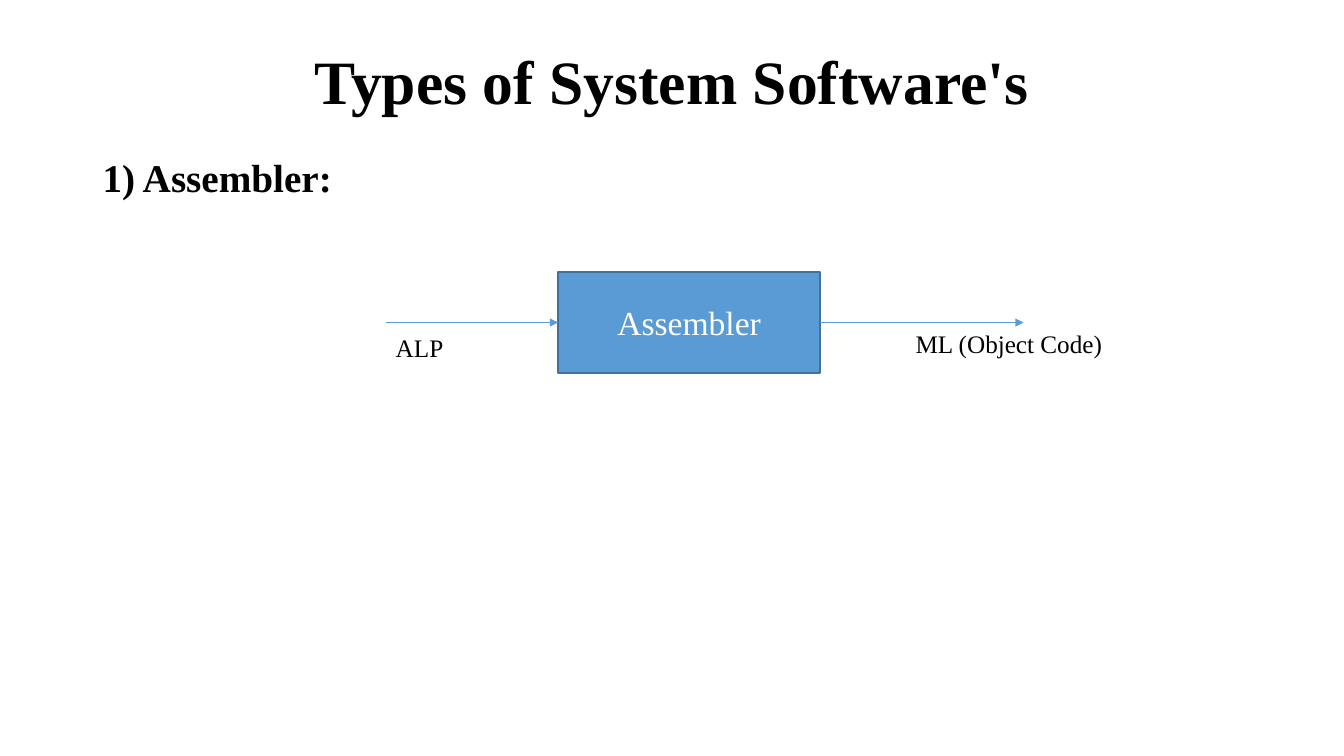
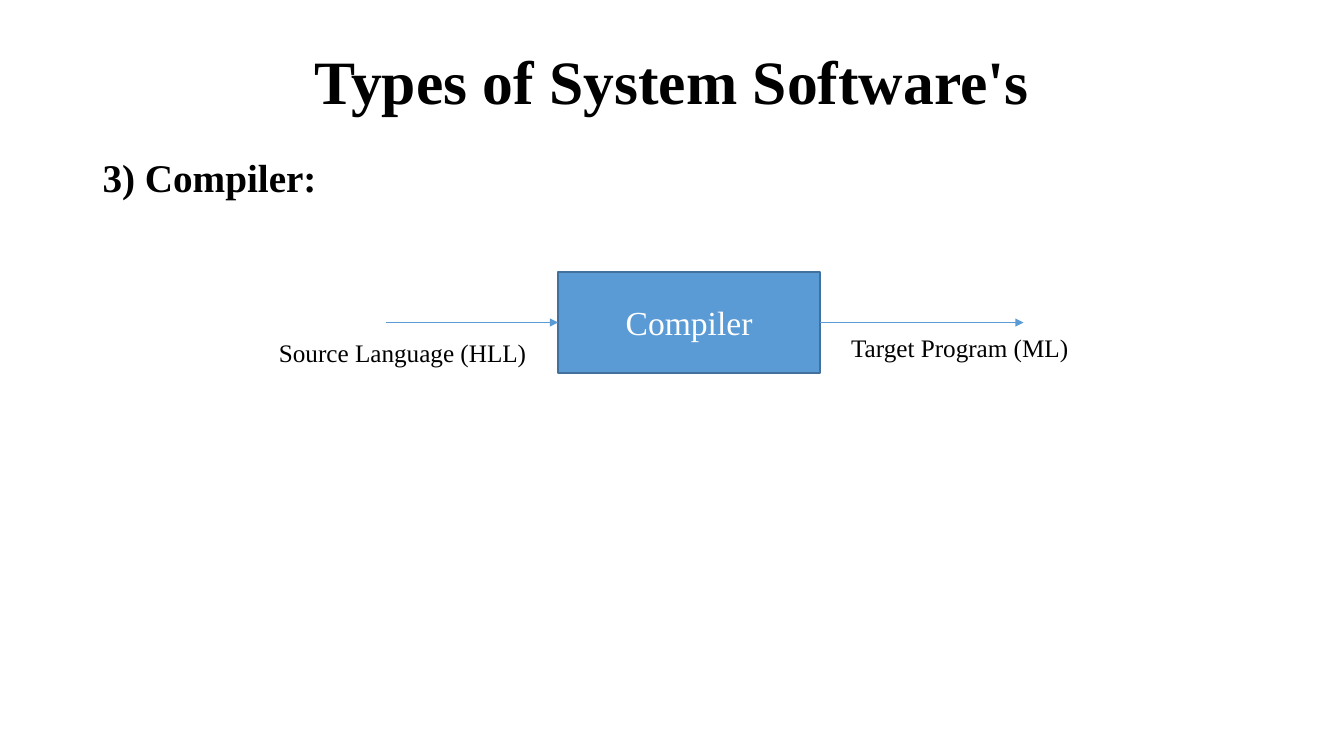
from dataclasses import dataclass

from lxml.etree import SubElement
from pptx import Presentation
from pptx.dml.color import RGBColor
from pptx.enum.shapes import MSO_CONNECTOR, MSO_SHAPE
from pptx.enum.text import MSO_ANCHOR, MSO_AUTO_SIZE, PP_ALIGN
from pptx.oxml.ns import qn
from pptx.shapes.autoshape import Shape
from pptx.shapes.connector import Connector
from pptx.slide import Slide
from pptx.util import Emu, Pt

EMU_PER_PX = 9144  # 100 px to the inch
FONT_NAME = "Times New Roman"
BLACK = "000000"
WHITE = "FFFFFF"
BLUE = "5B9BD5"
DARK_BLUE = "41719C"

TITLE = "Types of System Software's"
ARROW_Y = 320
INPUT_START_X = 383
OUTPUT_END_X = 1016
LEFT_SIDE, RIGHT_SIDE = 1, 3


@dataclass(frozen=True)
class Box:
    left: int
    top: int
    width: int
    height: int


@dataclass(frozen=True)
class Label:
    text: str
    box: Box


@dataclass(frozen=True)
class Translator:
    heading: str
    name: str
    source: Label
    target: Label


TITLE_BOX = Box(92, 40, 1150, 88)
HEADING_BOX = Box(92, 152, 1150, 511)
PROCESS_BOX = Box(554, 270, 260, 100)

TRANSLATORS = [
    Translator(
        "1) Assembler:",
        "Assembler",
        Label("ALP", Box(383, 325, 80, 40)),
        Label("ML (Object Code)", Box(899, 321, 237, 40)),
    ),
    Translator(
        "3) Compiler:",
        "Compiler",
        Label("Source Language (HLL)", Box(267, 330, 267, 40)),
        Label("Target Program (ML)", Box(835, 325, 267, 40)),
    ),
]


def px(length: int) -> Emu:
    return Emu(length * EMU_PER_PX)


def color(hex_value: str) -> RGBColor:
    return RGBColor.from_string(hex_value)


def bounds(box: Box) -> tuple[Emu, Emu, Emu, Emu]:
    return px(box.left), px(box.top), px(box.width), px(box.height)


def write_text(
    shape: Shape,
    text: str,
    size: int,
    hex_color: str = BLACK,
    bold: bool = False,
    alignment: PP_ALIGN = PP_ALIGN.LEFT,
    anchor: MSO_ANCHOR = MSO_ANCHOR.TOP,
    line_spacing: float = 1.0,
) -> None:
    frame = shape.text_frame
    frame.text = text
    frame.word_wrap = True
    frame.auto_size = MSO_AUTO_SIZE.NONE
    frame.vertical_anchor = anchor
    paragraph = frame.paragraphs[0]
    paragraph.alignment = alignment
    paragraph.line_spacing = line_spacing
    paragraph.font.name = FONT_NAME
    paragraph.font.size = Pt(size)
    paragraph.font.bold = bold
    paragraph.font.color.rgb = color(hex_color)


def set_title(slide: Slide) -> None:
    title = slide.shapes.title
    title.left, title.top, title.width, title.height = bounds(TITLE_BOX)
    write_text(title, TITLE, 44, bold=True, alignment=PP_ALIGN.CENTER,
               anchor=MSO_ANCHOR.MIDDLE, line_spacing=0.9)


def add_heading(slide: Slide, text: str) -> None:
    heading = slide.shapes.add_textbox(*bounds(HEADING_BOX))
    write_text(heading, text, 28, bold=True, line_spacing=0.9)
    heading.text_frame.paragraphs[0].space_before = Pt(10)


def add_process(slide: Slide, name: str) -> Shape:
    process = slide.shapes.add_shape(MSO_SHAPE.RECTANGLE, *bounds(PROCESS_BOX))
    process.shadow.inherit = False
    process.fill.solid()
    process.fill.fore_color.rgb = color(BLUE)
    process.line.color.rgb = color(DARK_BLUE)
    process.line.width = Pt(1)
    write_text(process, name, 24, WHITE, alignment=PP_ALIGN.CENTER,
               anchor=MSO_ANCHOR.MIDDLE)
    return process


def add_arrow(slide: Slide, start_x: int, end_x: int) -> Connector:
    arrow = slide.shapes.add_connector(
        MSO_CONNECTOR.STRAIGHT, px(start_x), px(ARROW_Y), px(end_x), px(ARROW_Y)
    )
    arrow.line.color.rgb = color(BLUE)
    arrow.line.width = Pt(0.5)
    line = arrow.line._get_or_add_ln()
    SubElement(line, qn("a:tailEnd"), type="triangle")
    SubElement(arrow._element.spPr, qn("a:effectLst"))
    return arrow


def add_label(slide: Slide, label: Label) -> None:
    text_box = slide.shapes.add_textbox(*bounds(label.box))
    write_text(text_box, label.text, 18)


def add_translator_slide(presentation: Presentation, translator: Translator) -> None:
    slide = presentation.slides.add_slide(
        presentation.slide_layouts.get_by_name("Title Only")
    )
    set_title(slide)
    add_heading(slide, translator.heading)
    process = add_process(slide, translator.name)
    process_right = PROCESS_BOX.left + PROCESS_BOX.width
    add_arrow(slide, INPUT_START_X, PROCESS_BOX.left).end_connect(process, LEFT_SIDE)
    add_arrow(slide, process_right, OUTPUT_END_X).begin_connect(process, RIGHT_SIDE)
    add_label(slide, translator.source)
    add_label(slide, translator.target)


def main() -> None:
    presentation = Presentation()
    presentation.slide_width = px(1334)
    presentation.slide_height = px(750)
    for translator in TRANSLATORS:
        add_translator_slide(presentation, translator)
    presentation.save("out.pptx")


if __name__ == "__main__":
    main()
